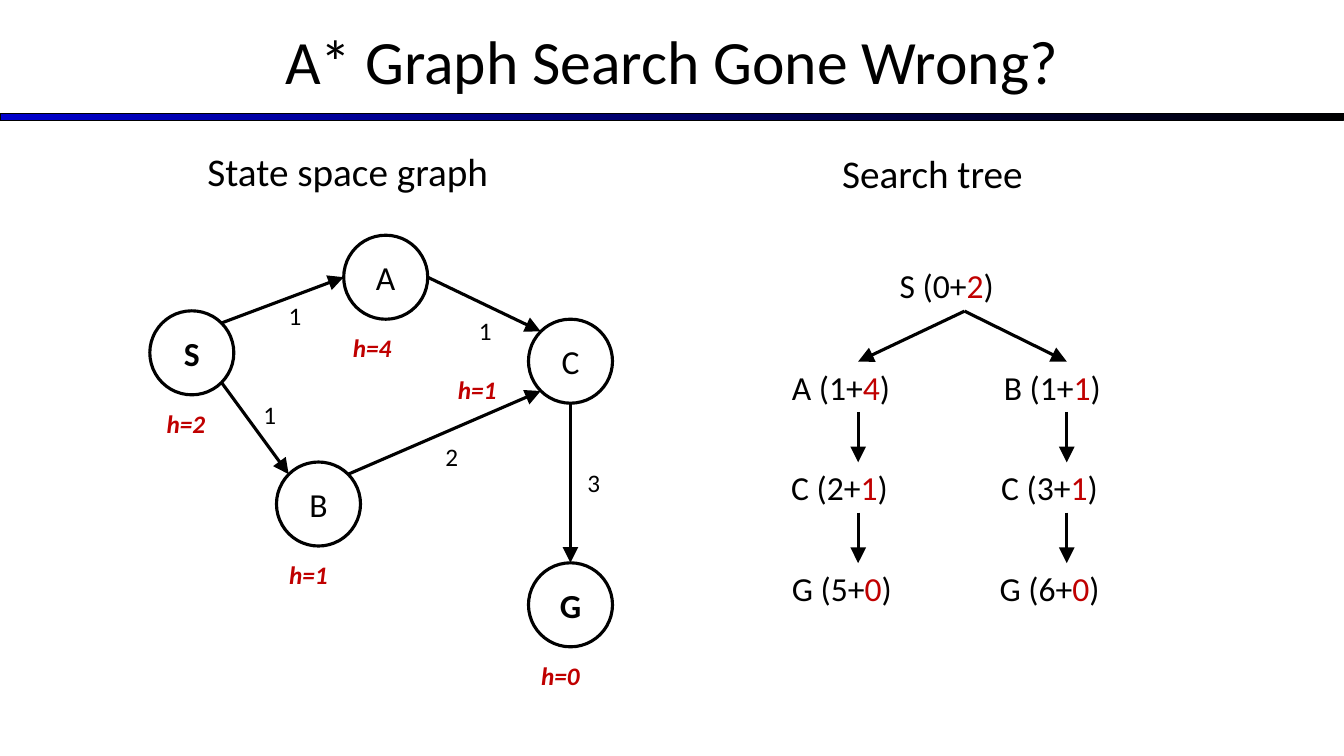
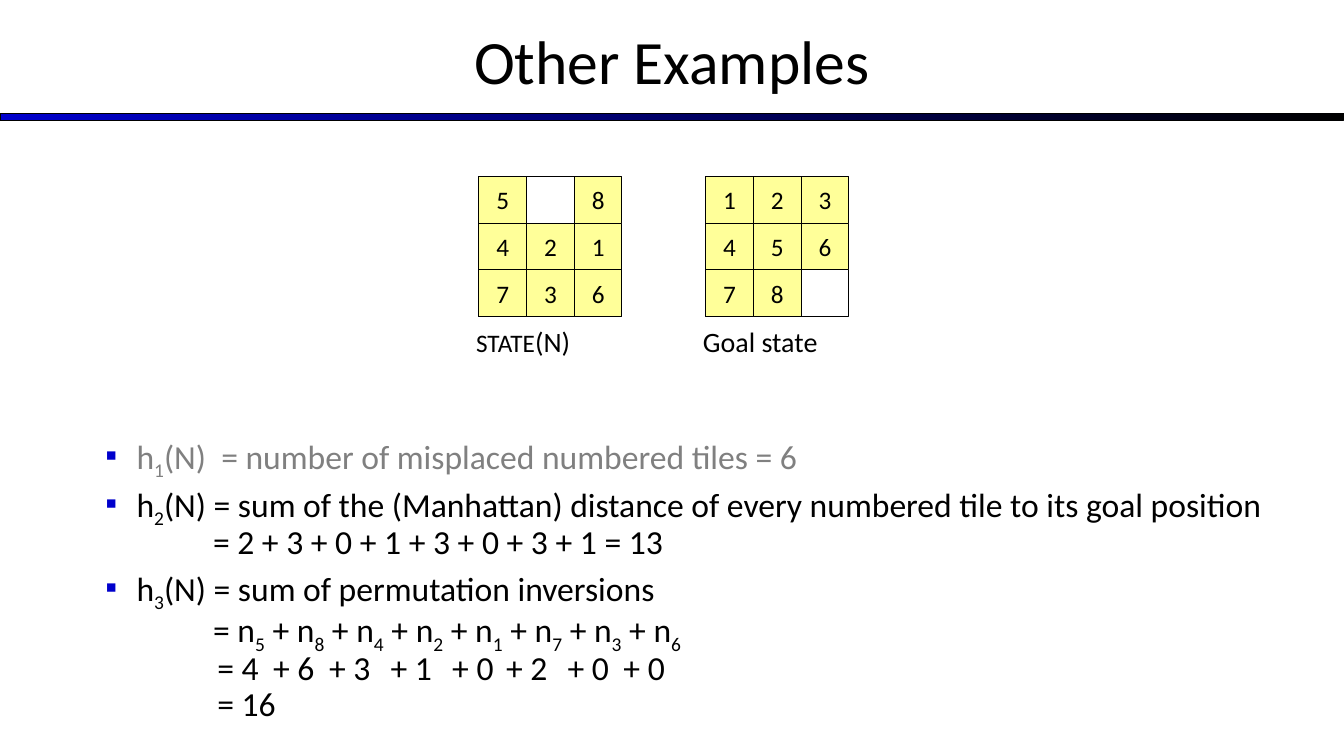
from dataclasses import dataclass

from lxml.etree import SubElement
from pptx import Presentation
from pptx.dml.color import RGBColor
from pptx.enum.shapes import MSO_CONNECTOR, MSO_SHAPE
from pptx.enum.text import MSO_ANCHOR, MSO_AUTO_SIZE, PP_ALIGN
from pptx.oxml.ns import qn
from pptx.util import Pt


@dataclass(frozen=True)
class Theme:
    font: str = "Calibri"
    black: str = "000000"
    white: str = "FFFFFF"
    blue: str = "0000CC"
    red: str = "C00000"
    grey: str = "808080"
    yellow: str = "FFFF99"
    title: int = 44
    head: int = 28
    text: int = 24
    note: int = 20
    small: int = 18
    thick: float = 2.25
    thin: float = 0.75


T = Theme()
WIDE, HIGH = 960, 540
RAD = 30  # node radius
DIAG = 0.71  # sine of 45 degrees
CELL_W, CELL_H = 34.1, 33.4


# Text
def add_run(para, text, size, color=T.black, bold=False, italic=False, **attrs):
    run = para.add_run()
    run.text = text
    font = run.font
    font.name, font.size = T.font, Pt(size)
    font.bold, font.italic = bold, italic
    font.color.rgb = RGBColor.from_string(color)
    for name, value in attrs.items():
        run._r.get_or_add_rPr().set(name, str(value))


def add_math(para, text, color, gaps):
    """Write text: _ lowers the next character, | is a space widened by a gap."""
    for i, piece in enumerate(text.split("|")):
        if i:
            add_run(para, " ", T.text, color, spc=round(gaps[i - 1] * 100))
        first, *rest = piece.split("_")
        if first:
            add_run(para, first, T.text, color)
        for part in rest:
            add_run(para, part[0], T.text, color, baseline=-25000)
            if part[1:]:
                add_run(para, part[1:], T.text, color)


def label(slide, x, y, w, h, *runs):
    frame = slide.shapes.add_textbox(Pt(x), Pt(y), Pt(w), Pt(h)).text_frame
    frame.word_wrap = True
    for text, size, *style in runs:
        add_run(frame.paragraphs[0], text, size, *style)


# Shapes
def add_box(slide, kind, x, y, w, h, fill=None, line=T.thin):
    box = slide.shapes.add_shape(kind, Pt(x), Pt(y), Pt(w), Pt(h))
    box.shadow.inherit = False
    if fill:
        box.fill.solid()
        box.fill.fore_color.rgb = RGBColor.from_string(fill)
    else:
        box.fill.background()
    box.line.color.rgb = RGBColor.from_string(T.black)
    box.line.width = Pt(line)
    return box


def put_mark(box, text, size, bold=False):
    frame = box.text_frame
    frame.word_wrap = False
    frame.vertical_anchor = MSO_ANCHOR.MIDDLE
    frame.paragraphs[0].alignment = PP_ALIGN.CENTER
    add_run(frame.paragraphs[0], text, size, bold=bold)


def arrow(slide, start, end):
    ends = [Pt(v) for v in (*start, *end)]
    line = slide.shapes.add_connector(MSO_CONNECTOR.STRAIGHT, *ends)
    line.line.color.rgb = RGBColor.from_string(T.black)
    line.line.width = Pt(T.thick)
    props = line._element.spPr
    SubElement(props.find(qn("a:ln")), qn("a:tailEnd"),
               type="triangle", w="lg", len="lg")
    SubElement(props, qn("a:effectLst"))


# Shared page parts
def set_master(deck):
    title = deck.slide_master.placeholders[0]
    title.left, title.top = Pt(0), Pt(-2)
    title.width, title.height = Pt(WIDE), Pt(90)


def add_band(deck, slide):
    """Draw the band once and move it to the master."""
    band = add_box(slide, MSO_SHAPE.RECTANGLE, 0, 81, WIDE, 5)
    band.fill.gradient()
    band.fill.gradient_angle = 0
    for stop, color in zip(band.fill.gradient_stops, (T.blue, T.black)):
        stop.color.rgb = RGBColor.from_string(color)
    deck.slide_master.shapes._spTree.insert(2, band._element)


def add_page(deck, layout, title):
    slide = deck.slides.add_slide(deck.slide_layouts[layout])
    frame = slide.shapes.title.text_frame
    frame.auto_size = MSO_AUTO_SIZE.NONE
    frame.vertical_anchor = MSO_ANCHOR.MIDDLE
    frame.paragraphs[0].alignment = PP_ALIGN.CENTER
    add_run(frame.paragraphs[0], title, T.title)
    return slide


# State space graph
def draw_graph(slide):
    label(slide, 141, 102, 270, 41, ("State space graph", T.head))
    nodes = {  # centre, then place and text of the estimate
        "S": (137, 252, 112, 288, "h=2"),
        "A": (275.5, 198, 245, 234, "h=4"),
        "B": (227.5, 360, 199.5, 396, "h=1"),
        "C": (407.5, 258, 320, 263.5, "h=1"),
        "G": (407.5, 432, 379.5, 468, "h=0"),
    }
    for name, (x, y, left, top, guess) in nodes.items():
        ring = add_box(slide, MSO_SHAPE.OVAL, x - RAD, y - RAD,
                       2 * RAD, 2 * RAD, T.white, T.thick)
        put_mark(ring, name, T.text, name in "SG")
        label(slide, left, top, 55, 29, (guess, T.small, T.red, True, True))

    def spot(name, dx, dy):
        x, y = nodes[name][:2]
        return x + RAD * dx, y + RAD * dy

    edges = [  # ends as node and direction, then cost and its place
        (("S", DIAG, -DIAG), ("A", -1, 0), "1", 199, 211),
        (("S", DIAG, DIAG), ("B", -DIAG, -DIAG), "1", 181, 282),
        (("B", DIAG, -DIAG), ("C", -DIAG, DIAG), "2", 311, 312),
        (("A", 1, 0), ("C", -DIAG, -DIAG), "1", 335, 222),
        (("C", 0, 1), ("G", 0, -1), "3", 412.5, 330),
    ]
    for start, end, cost, x, y in edges:
        arrow(slide, spot(*start), spot(*end))
        label(slide, x, y, 26, 29, (cost, T.small))


# Search tree
def draw_tree(slide):
    label(slide, 594.5, 103, 176, 41, ("Search tree", T.head))

    def leaf(x, y, name, past, guess):
        label(slide, x, y, 110, 36, (f"{name} ({past}+", T.text),
              (guess, T.text, T.red), (")", T.text))

    leaf(635.5, 186, "S", 0, "2")
    paths = [
        (613, [(558.5, "A", 1, "4"), (558, "C", 2, "1"), (558.5, "G", 5, "0")]),
        (762, [(710, "B", 1, "1"), (708, "C", 3, "1"), (707, "G", 6, "0")]),
    ]
    for mid, steps in paths:
        for row, (x, *parts) in enumerate(steps):
            y = 258.25 + 72 * row
            arrow(slide, (mid if row else 689, y - 36), (mid, y))
            leaf(x, y, *parts)


# Tile puzzles
def draw_tiles(slide, left, rows, *name):
    top = 126
    add_box(slide, MSO_SHAPE.RECTANGLE, left, top, 3 * CELL_W, 3 * CELL_H)
    for row, marks in enumerate(rows):
        for col, mark in enumerate(marks):
            if mark != " ":
                tile = add_box(slide, MSO_SHAPE.RECTANGLE, left + col * CELL_W,
                               top + row * CELL_H, CELL_W, CELL_H, T.yellow)
                put_mark(tile, mark, T.small)
    label(slide, left - 9, 228, 117, 31, *name)


# Bullet list
def fill_list(body, items):
    body.left, body.top, body.width, body.height = Pt(32), Pt(308), Pt(896), Pt(222)
    frame = body.text_frame
    frame.auto_size = MSO_AUTO_SIZE.NONE
    frame.vertical_anchor = MSO_ANCHOR.TOP
    for i, (text, color, left, *gaps) in enumerate(items):
        para = frame.add_paragraph() if i else frame.paragraphs[0]
        props = para._p.get_or_add_pPr()
        props.set("marL", str(Pt(left or 58.3)))
        props.set("indent", str(Pt(0 if left else -22.3)))
        if left:
            SubElement(props, qn("a:buNone"))
        else:
            tint = SubElement(props, qn("a:buClr"))
            SubElement(tint, qn("a:srgbClr"), val=T.blue)
            SubElement(props, qn("a:buChar"), char="▪")
        para.line_spacing = 0.9
        para.space_before = Pt(4.8 if i and not left else 0)
        add_math(para, text, color, gaps)


def main():
    deck = Presentation()
    deck.slide_width, deck.slide_height = Pt(WIDE), Pt(HIGH)
    set_master(deck)

    slide = add_page(deck, 5, "A* Graph Search Gone Wrong?")
    add_band(deck, slide)
    draw_graph(slide)
    draw_tree(slide)

    slide = add_page(deck, 1, "Other Examples")
    draw_tiles(slide, 342, ["5 8", "421", "736"],
               ("STATE", T.small), ("(N)", T.note))
    draw_tiles(slide, 504, ["123", "456", "78 "], ("Goal state", T.note))
    order = " + ".join(f"n_{tile}" for tile in "58421736")
    fill_list(slide.placeholders[1], [
        ("h_1(N)|= number of misplaced numbered tiles = 6", T.grey, 0, 5.4),
        ("h_2(N) = sum of the (Manhattan) distance of every numbered tile"
         " to its goal position", T.black, 0),
        ("= 2 + 3 + 0 + 1 + 3 + 0 + 3 + 1 = 13", T.black, 113),
        ("h_3(N) = sum of permutation inversions", T.black, 0),
        (f"= {order}", T.black, 113),
        ("= 4|+ 6|+ 3|+ 1|+ 0|+ 2|+ 0|+ 0", T.black, 116,
         5, 5, 9, 9, 3.5, 9, 5),
        ("= 16", T.black, 116),
    ])
    deck.save("out.pptx")


if __name__ == "__main__":
    main()
